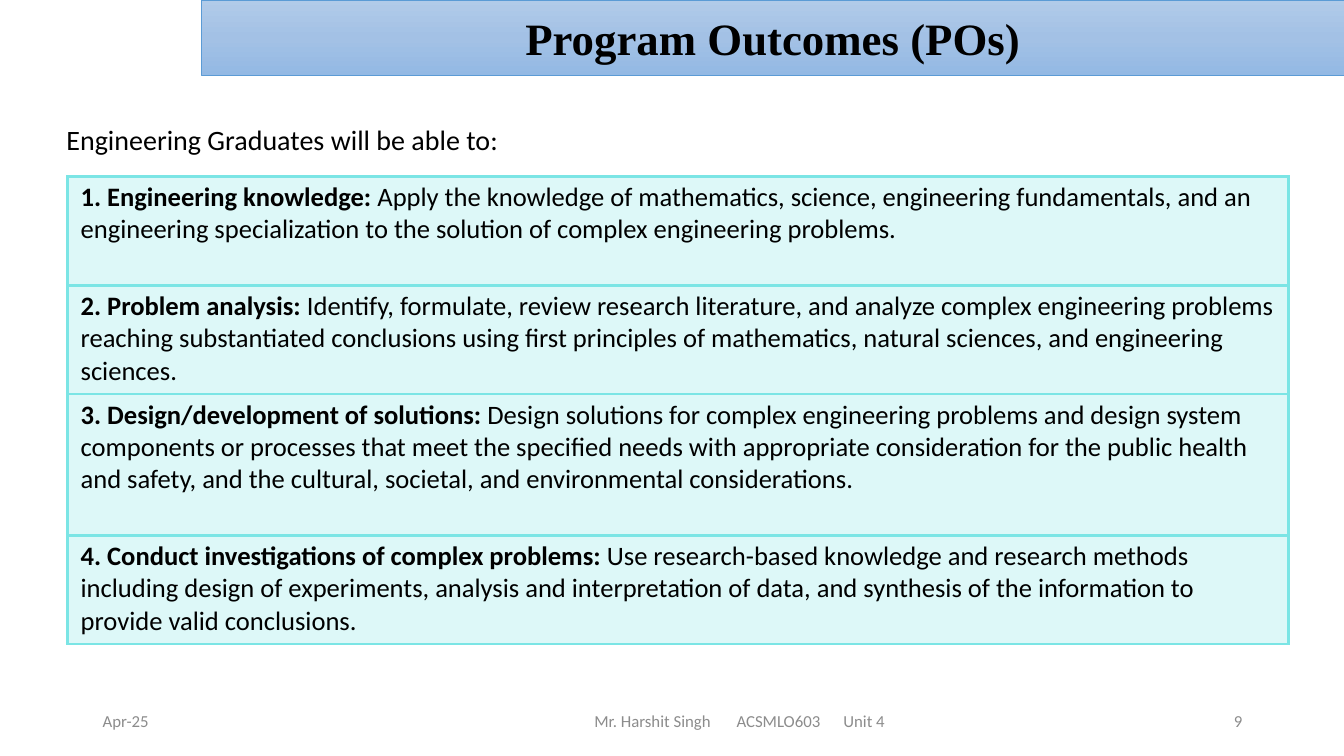
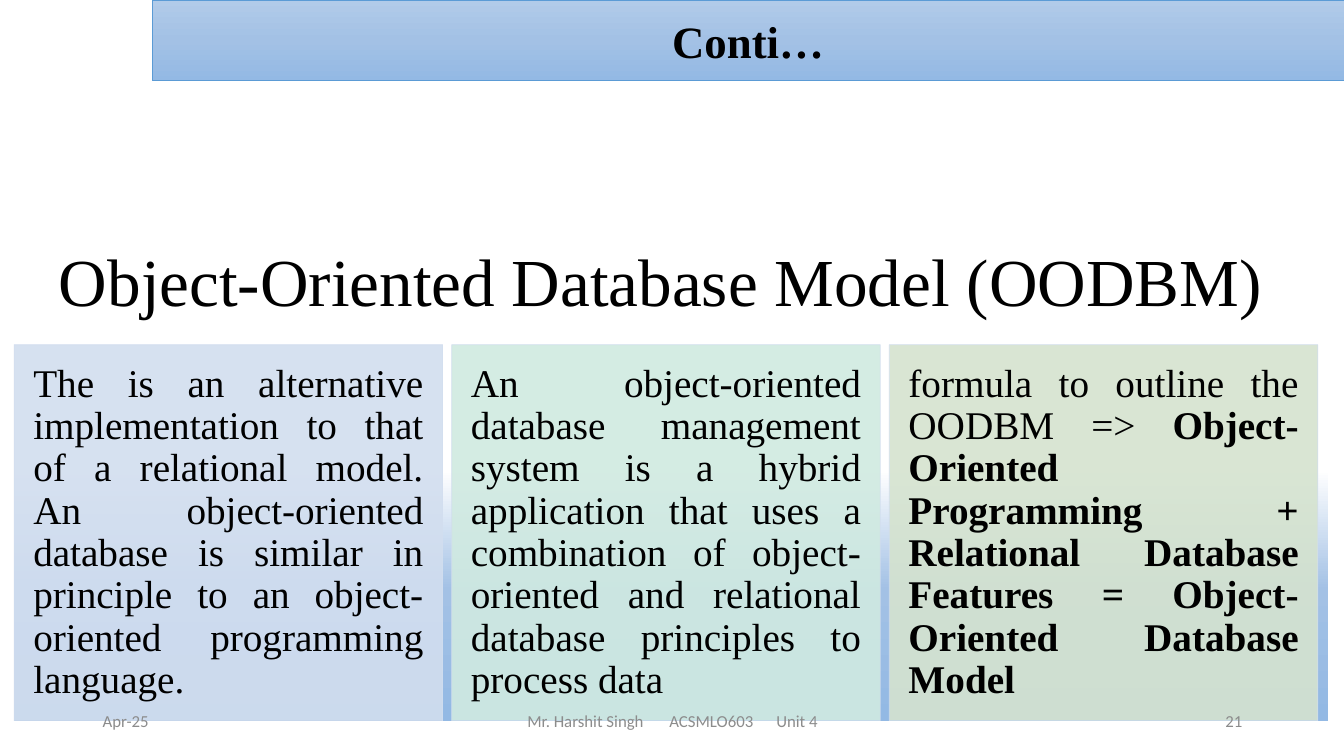
import pptx
import pptx.util
import pptx.dml.color
import pptx.enum.text
import pptx.enum.shapes
import pptx.oxml
import pptx.oxml.ns
import lxml.etree

Inches = pptx.util.Inches
Pt = pptx.util.Pt
RGB = pptx.dml.color.RGBColor
ALIGN = pptx.enum.text.PP_ALIGN
ANCHOR = pptx.enum.text.MSO_ANCHOR
qn = pptx.oxml.ns.qn

# Colours and fonts
BLACK = RGB(0x00, 0x00, 0x00)
WHITE = RGB(0xFF, 0xFF, 0xFF)
GREY = RGB(0x8C, 0x8C, 0x8C)
EDGE = RGB(0x5B, 0x9B, 0xD5)
LIGHT = RGB(0xB1, 0xCB, 0xE9)
MID = RGB(0xA3, 0xC1, 0xE5)
DEEP = RGB(0x93, 0xB9, 0xE4)
AQUA = RGB(0x7B, 0xE5, 0xE5)
ICE = RGB(0xD2, 0xDE, 0xEF)
MINT = RGB(0xD0, 0xEA, 0xE1)
SAGE = RGB(0xD5, 0xE3, 0xCF)
SANS = "Calibri"
SERIF = "Times New Roman"

# Wording
FOOTER = "Mr. Harshit Singh\tACSMLO603\tUnit 4"
GOALS = [
    ("1. Engineering knowledge:",
     " Apply the knowledge of mathematics, science, engineering fundamentals, and an "
     "engineering specialization to the solution of complex engineering problems."),
    ("2. Problem analysis:",
     " Identify, formulate, review research literature, and analyze complex engineering "
     "problems reaching substantiated conclusions using first principles of mathematics, "
     "natural sciences, and engineering sciences."),
    ("3. Design/development of solutions:",
     " Design solutions for complex engineering problems and design system components or "
     "processes that meet the specified needs with appropriate consideration for the public "
     "health and safety, and the cultural, societal, and environmental considerations."),
    ("4. Conduct investigations of complex problems:",
     " Use research-based knowledge and research methods including design of experiments, "
     "analysis and interpretation of data, and synthesis of the information to provide "
     "valid conclusions."),
]
CARDS = [
    (ICE, "The is an alternative implementation to that of a relational model. An "
          "object-oriented database is similar in principle to an object-oriented "
          "programming language.", ""),
    (MINT, "An object-oriented database management system is a hybrid application that "
           "uses a combination of object-oriented and relational database principles to "
           "process data", ""),
    (SAGE, "formula to outline the OODBM => ",
     "Object-Oriented Programming + Relational Database Features = Object-Oriented "
     "Database Model"),
]


class Deck:
    def __init__(self):
        self.prs = pptx.Presentation()
        self.prs.slide_width = Inches(13.33)
        self.prs.slide_height = Inches(7.5)
        self.slide = None

    # Styling helpers
    def style(self, run, size, font, color=BLACK, bold=False):
        run.font.size = Pt(size)
        run.font.name = font
        run.font.color.rgb = color
        run.font.bold = bold

    def inset(self, frame, left, top, right, bottom):
        frame.margin_left, frame.margin_top = Inches(left), Inches(top)
        frame.margin_right, frame.margin_bottom = Inches(right), Inches(bottom)

    def fade(self, props, share):
        for color in props.iter(qn("a:srgbClr")):
            lxml.etree.SubElement(color, qn("a:alpha"), val=str(share * 1000))

    def blend(self, shape, stops):
        shape.fill.gradient()
        shape.fill.gradient_angle = 270
        items = shape._element.spPr.find(".//" + qn("a:gsLst"))
        items.clear()
        for pos, color in stops:
            stop = lxml.etree.SubElement(items, qn("a:gs"), pos=str(pos * 1000))
            lxml.etree.SubElement(stop, qn("a:srgbClr"), val=str(color))

    # Slide with its title band, which runs to the right edge
    def start(self, title, left, height):
        self.slide = self.prs.slides.add_slide(self.prs.slide_layouts[5])
        band = self.slide.shapes.title
        band.left, band.top = Inches(left), 0
        band.width, band.height = Inches(13.33 - left), Inches(height)
        self.blend(band, [(0, LIGHT), (50, MID), (100, DEEP)])
        band.line.color.rgb = EDGE
        band.line.width = Pt(0.5)
        frame = band.text_frame
        frame.text = title
        frame.auto_size = pptx.enum.text.MSO_AUTO_SIZE.NONE
        frame.vertical_anchor = ANCHOR.MIDDLE
        frame.paragraphs[0].alignment = ALIGN.CENTER
        self.style(frame.paragraphs[0].runs[0], 32, SERIF, bold=True)

    def text(self, words, left, top, width, height, size,
             color=BLACK, align=ALIGN.LEFT, wrap=True, anchor=ANCHOR.TOP):
        box = self.slide.shapes.add_textbox(
            Inches(left), Inches(top), Inches(width), Inches(height))
        frame = box.text_frame
        frame.word_wrap = wrap
        frame.vertical_anchor = anchor
        para = frame.paragraphs[0]
        para.text = words
        para.alignment = align
        self.style(para.runs[0], size, SANS, color)
        return frame

    # Date, author line and page number
    def footer(self, page, left, width):
        def note(words, x, w, align=ALIGN.LEFT):
            return self.text(words, x, 6.95, w, 0.4, 12, GREY, align,
                             anchor=ANCHOR.MIDDLE)

        note("Apr-25", 0.92, 3)
        note(page, 9.42, 3, ALIGN.RIGHT)
        frame = note(FOOTER, left, width)
        frame.margin_left = Inches(width / 2 - 1.44)
        props = frame.paragraphs[0]._p.get_or_add_pPr()
        tabs = lxml.etree.SubElement(props, qn("a:tabLst"))
        for pos in (1.41, 2.47):
            lxml.etree.SubElement(tabs, qn("a:tab"), pos=str(Inches(pos)), algn="l")

    def table(self, rows, heights, left, top, width):
        grid = self.slide.shapes.add_table(
            len(rows), 1, Inches(left), Inches(top),
            Inches(width), Inches(sum(heights))).table
        grid.first_row = grid.horz_banding = False
        grid.columns[0].width = Inches(width)
        for i, (head, body) in enumerate(rows):
            grid.rows[i].height = Inches(heights[i])
            cell = grid.cell(i, 0)
            self.inset(cell, 0.13, 0.05, 0.13, 0.05)
            para = cell.text_frame.paragraphs[0]
            para.text = head
            para.add_run().text = body
            for run, bold in zip(para.runs, (True, False)):
                self.style(run, 19, SANS, bold=bold)
            cell.fill.solid()
            cell.fill.fore_color.rgb = AQUA
            props = cell._tc.get_or_add_tcPr()
            self.fade(props, 25)
            self.border(props)

    def border(self, props):
        for i, side in enumerate("LRTB"):
            line = lxml.etree.Element(qn("a:ln" + side), w=str(Pt(2.25)))
            fill = lxml.etree.SubElement(line, qn("a:solidFill"))
            lxml.etree.SubElement(fill, qn("a:srgbClr"), val=str(AQUA))
            props.insert(i, line)

    def block(self, words, left, top, width, height, size, align, pads, bold=""):
        shape = self.slide.shapes.add_shape(
            pptx.enum.shapes.MSO_SHAPE.RECTANGLE,
            Inches(left), Inches(top), Inches(width), Inches(height))
        shape.shadow.inherit = False
        frame = shape.text_frame
        frame.word_wrap = True
        frame.vertical_anchor = ANCHOR.MIDDLE
        self.inset(frame, *pads)
        para = frame.paragraphs[0]
        para.text = words
        para.alignment = align
        para.line_spacing = 0.9
        self.style(para.runs[0], size, SERIF)
        if bold:
            run = para.add_run()
            run.text = bold
            self.style(run, size, SERIF, bold=True)
        return shape

    def panel(self, words):
        shape = self.block(words, 0.14, 1.23, 13.03, 5.92, 48, ALIGN.CENTER,
                           (0.27, 0.37, 0.47, 3.1))
        self.blend(shape, [(58, WHITE), (78, MID), (100, DEEP)])
        shape.line.fill.background()

    def card(self, color, words, bold, left):
        shape = self.block(words, left, 3.42, 4.25, 3.73, 28, ALIGN.JUSTIFY,
                           (0.19, 0.03, 0.19, 0.03), bold)
        shape.fill.solid()
        shape.fill.fore_color.rgb = color
        shape.line.color.rgb = ICE
        shape.line.width = Pt(0.5)
        self.fade(shape._element.spPr, 90)


def main():
    deck = Deck()

    # Program outcomes
    deck.start("Program Outcomes (POs)", 2, 0.75)
    deck.text("Engineering Graduates will be able to:", 0.56, 1.17, 4.52, 0.44, 20,
              wrap=False)
    deck.table(GOALS, [1.08, 1.08, 1.4, 1.08], 0.67, 1.75, 12.11)
    deck.footer("9", 3.67, 7.33)

    # Object-oriented model
    deck.start("Conti…", 1.51, 0.8)
    deck.panel("Object-Oriented Database Model (OODBM)")
    for i, (color, words, bold) in enumerate(CARDS):
        deck.card(color, words, bold, 0.14 + 4.34 * i)
    deck.footer("21", 4.42, 4.5)

    deck.prs.save("out.pptx")


if __name__ == "__main__":
    main()
